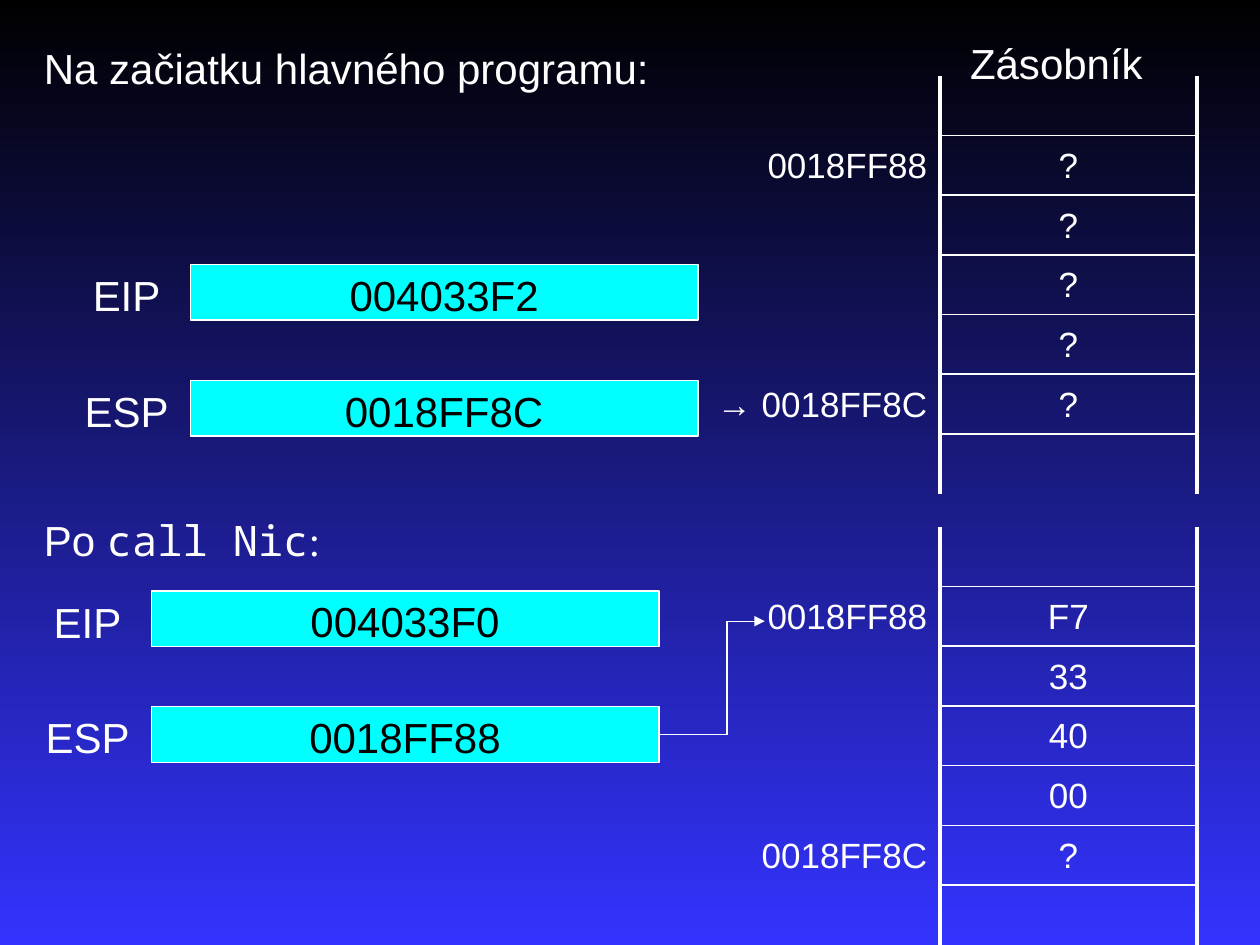
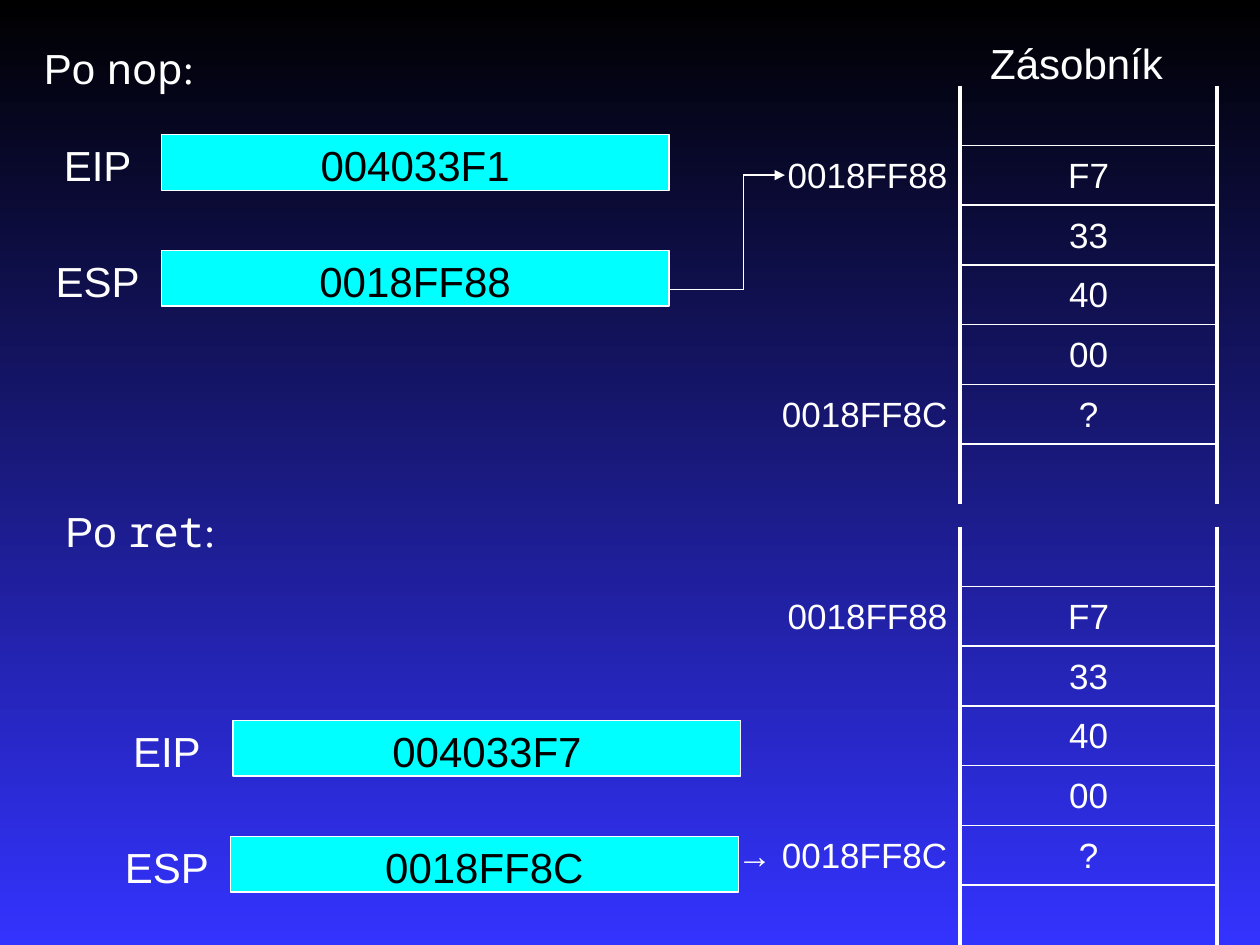
from dataclasses import dataclass
from typing import Optional

import pptx
import pptx.dml.color
import pptx.enum.shapes
import pptx.enum.text
import pptx.oxml.ns
import pptx.util
from lxml import etree
from pptx.util import Inches

COLORS = {"white": "FFFFFF", "black": "000000", "cyan": "00FFFF", "blue": "3333FF"}
SANS, MONO, SERIF = "Arial", "Noto Sans Mono", "Times New Roman"
ALIGN = pptx.enum.text.PP_ALIGN
NO_GRID_STYLE = "{2D5ABB26-0587-4C30-8999-92F81FD0307C}"

STACK_COLUMNS = (2.38, 2.04)
STACK_HEIGHT = 3.32
REGISTER_WIDTH, REGISTER_HEIGHT = 4.03, 0.44
REGISTER_STEP = 0.92
REGISTER_INSET = 0.04
LABEL_WIDTH = 0.99
LABEL_OFFSET = 1.0


@dataclass
class Stack:
    left: float
    top: float
    values: str
    esp_row: str = ""


@dataclass
class Registers:
    left: float
    top: float
    eip: str
    esp: str
    eip_shift: float = 0


@dataclass
class Pointer:
    bend: float
    end: float
    end_y: float
    start_y: Optional[float] = None


@dataclass
class Stage:
    heading: list[tuple[str, str]]
    left: float
    top: float
    width: float
    registers: Registers
    stack: Stack
    pointer: Optional[Pointer] = None


@dataclass
class Page:
    stack_title_left: float
    stack_title_width: float
    stages: list[Stage]


def after(command: str) -> list[tuple[str, str]]:
    return [("Po ", SANS), (command, MONO), (":", SERIF)]


PAGES = [
    Page(7.6, 1.75, [
        Stage([("Na začiatku hlavného programu:", SANS)], 0.25, 0.25, 5.42,
              Registers(1.51, 2.1, "004033F2", "0018FF8C"),
              Stack(5.08, 0.6, "? ? ? ? ?", "0018FF8C")),
        Stage(after("call Nic"), 0.25, 3.99, 4.58,
              Registers(1.2, 4.69, "004033F0", "0018FF88"),
              Stack(5.08, 4.18, "F7 33 40 00 ?"),
              Pointer(5.77, 6.07, 4.93)),
    ]),
    Page(7.76, 2.08, [
        Stage(after("nop"), 0.25, 0.25, 4.58,
              Registers(1.28, 1.07, "004033F1", "0018FF88"),
              Stack(5.24, 0.68, "F7 33 40 00 ?"),
              Pointer(5.9, 6.23, 1.39, 2.3)),
        Stage(after("ret"), 0.42, 3.92, 4.58,
              Registers(1.83, 5.72, "004033F7", "0018FF8C", 0.02),
              Stack(5.24, 4.18, "F7 33 40 00 ?", "0018FF8C")),
    ]),
]


def rgb(name: str) -> pptx.dml.color.RGBColor:
    return pptx.dml.color.RGBColor.from_string(COLORS[name])


def write(frame, spans: list[tuple[str, str]], *, size: float = 24, color: str = "white",
          align=ALIGN.LEFT, inset: float = 0.09) -> None:
    frame.word_wrap = True
    frame.margin_left = frame.margin_right = Inches(0.1)
    frame.margin_top, frame.margin_bottom = Inches(inset), Inches(0.05)
    para = frame.paragraphs[0]
    para.alignment = align
    for text, font in spans:
        span = para.add_run()
        span.text = text
        span.font.name = font
        span.font.size = pptx.util.Pt(size)
        span.font.color.rgb = rgb(color)


def add_text(page, left: float, top: float, width: float, height: float,
             spans: list[tuple[str, str]], **style) -> None:
    box = page.shapes.add_textbox(Inches(left), Inches(top), Inches(width), Inches(height))
    write(box.text_frame, spans, **style)


def add_register(page, name: str, value: str, left: float, label_left: float, top: float):
    box = page.shapes.add_shape(pptx.enum.shapes.MSO_SHAPE.RECTANGLE, Inches(left), Inches(top),
                                Inches(REGISTER_WIDTH), Inches(REGISTER_HEIGHT))
    box.shadow.inherit = False
    box.fill.solid()
    box.fill.fore_color.rgb = rgb("cyan")
    box.line.color.rgb = rgb("white")
    box.line.width = pptx.util.Pt(0.75)
    box.text_frame.vertical_anchor = pptx.enum.text.MSO_ANCHOR.TOP
    write(box.text_frame, [(value, SANS)], color="black", align=ALIGN.CENTER,
          inset=REGISTER_INSET)
    add_text(page, label_left, top, LABEL_WIDTH, 0.45, [(name, SANS)], align=ALIGN.CENTER,
             inset=REGISTER_INSET)
    return box


def add_registers(page, registers: Registers):
    label_left = registers.left - LABEL_OFFSET
    add_register(page, "EIP", registers.eip, registers.left + registers.eip_shift,
                 label_left, registers.top)
    return add_register(page, "ESP", registers.esp, registers.left, label_left,
                        registers.top + REGISTER_STEP)


def add_border(cell, side: str, width: float) -> None:
    tag = pptx.oxml.ns.qn
    line = etree.SubElement(cell._tc.get_or_add_tcPr(), tag(f"a:{side}"),
                            w=str(pptx.util.Pt(width)))
    fill = etree.SubElement(line, tag("a:solidFill"))
    etree.SubElement(fill, tag("a:srgbClr"), val=COLORS["white"])


def add_stack(page, stack: Stack) -> None:
    values = ["", *stack.values.split(), ""]
    addresses = {1: "0018FF88", 5: "0018FF8C"}
    frame = page.shapes.add_table(len(values), 2, Inches(stack.left), Inches(stack.top),
                                  Inches(sum(STACK_COLUMNS)), Inches(STACK_HEIGHT))
    table = frame.table
    table.first_row = table.horz_banding = False
    next(frame.element.iter(pptx.oxml.ns.qn("a:tableStyleId"))).text = NO_GRID_STYLE
    for column, width in zip(table.columns, STACK_COLUMNS):
        column.width = Inches(width)
    for row, value in enumerate(values):
        table.rows[row].height = Inches(STACK_HEIGHT / len(values))
        address = addresses.get(row, "")
        if address and address == stack.esp_row:
            address = f"→ {address}"
        for column, (text, align) in enumerate([(address, ALIGN.RIGHT), (value, ALIGN.CENTER)]):
            cell = table.cell(row, column)
            if text:
                write(cell.text_frame, [(text, SANS)], size=20, align=align)
                cell.margin_top = Inches(0.09)
        add_border(cell, "lnL", 2.25)
        add_border(cell, "lnR", 2.25)
        if row > 0:
            add_border(cell, "lnT", 1)
        if row < len(values) - 1:
            add_border(cell, "lnB", 1)
        for cell in table.rows[row].cells:
            cell.fill.background()


def add_line(page, start: tuple, end: tuple, arrow: bool = False):
    line = page.shapes.add_connector(pptx.enum.shapes.MSO_CONNECTOR.STRAIGHT, *start, *end)
    line.line.color.rgb = rgb("white")
    line.line.width = pptx.util.Pt(0.75)
    if arrow:
        etree.SubElement(line.line._get_or_add_ln(), pptx.oxml.ns.qn("a:tailEnd"), type="triangle")
    etree.SubElement(line._element.spPr, pptx.oxml.ns.qn("a:effectLst"))
    return line


def add_pointer(page, pointer: Pointer, register) -> None:
    joined = pointer.start_y is None
    start_y = register.top + register.height // 2 if joined else Inches(pointer.start_y)
    bend, end_y = Inches(pointer.bend), Inches(pointer.end_y)
    points = [(register.left + register.width, start_y), (bend, start_y), (bend, end_y),
              (Inches(pointer.end), end_y)]
    lines = [add_line(page, points[index], points[index + 1], arrow=index == 2)
             for index in range(3)]
    if joined:
        lines[0].begin_connect(register, 3)


def paint_background(page) -> None:
    fill = page.background.fill
    fill.gradient()
    fill.gradient_angle = 270
    for stop, position, color in zip(fill.gradient_stops, (0, 1), ("black", "blue")):
        stop.position = position
        stop.color.rgb = rgb(color)


def add_page(deck, content: Page) -> None:
    page = deck.slides.add_slide(deck.slide_layouts[6])
    paint_background(page)
    add_text(page, content.stack_title_left, 0.21, content.stack_title_width, 0.5,
             [("Zásobník", SANS)])
    for stage in content.stages:
        add_text(page, stage.left, stage.top, stage.width, 0.5, stage.heading)
        add_stack(page, stage.stack)
        esp = add_registers(page, stage.registers)
        if stage.pointer:
            add_pointer(page, stage.pointer, esp)


def main() -> None:
    deck = pptx.Presentation()
    deck.slide_width, deck.slide_height = Inches(10), Inches(7.5)
    for content in PAGES:
        add_page(deck, content)
    deck.save("out.pptx")


if __name__ == "__main__":
    main()
